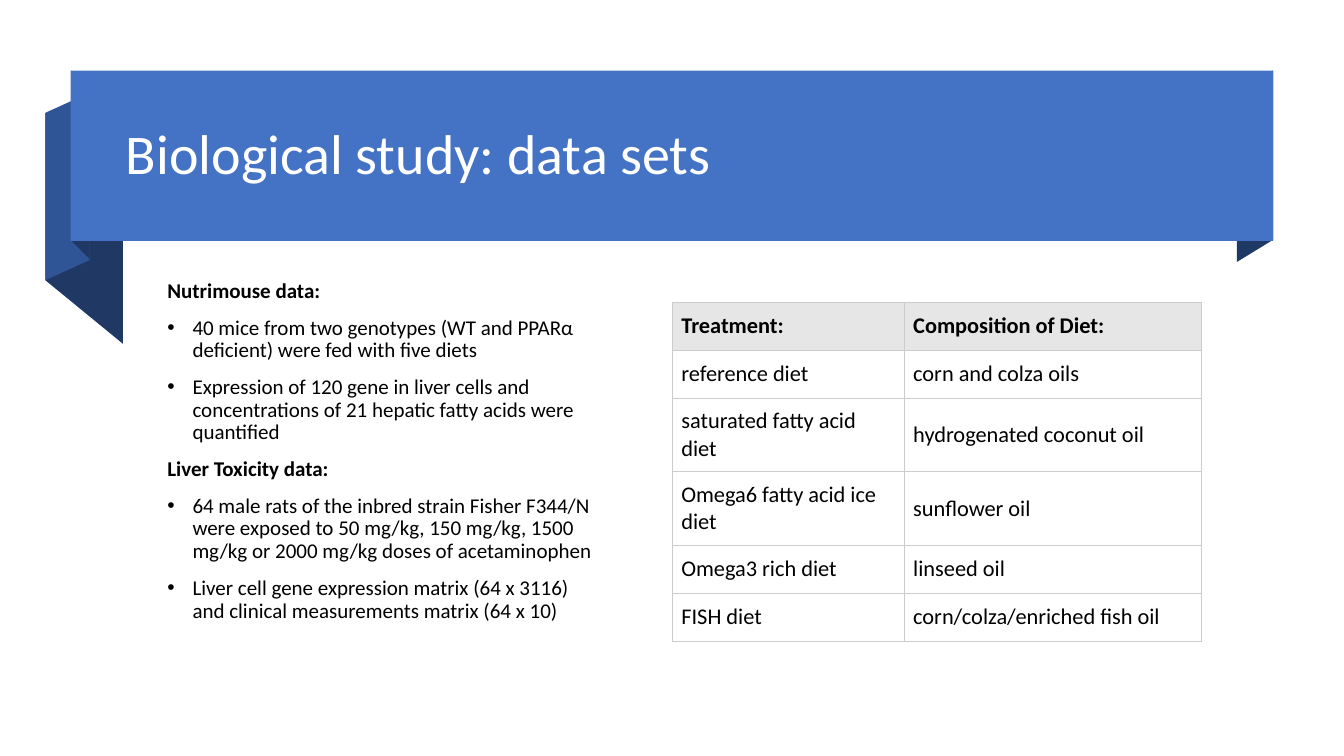
from lxml import etree
from pptx import Presentation
from pptx.dml.color import RGBColor
from pptx.enum.shapes import MSO_SHAPE
from pptx.enum.text import MSO_ANCHOR, MSO_AUTO_SIZE, PP_ALIGN
from pptx.oxml.ns import qn
from pptx.util import Inches, Pt

GRID = Inches(0.01)  # one column or row of the page grid
PAGE_COLUMNS, PAGE_ROWS = 1333.33, 750
FONT = "Calibri"

WHITE = RGBColor(0xFF, 0xFF, 0xFF)
BLACK = RGBColor(0x00, 0x00, 0x00)
BLUE = RGBColor(0x44, 0x72, 0xC4)
MID_BLUE = RGBColor(0x2F, 0x55, 0x97)
NAVY = RGBColor(0x20, 0x38, 0x64)
HEADER_GREY = RGBColor(0xE7, 0xE6, 0xE6)
BORDER_GREY = RGBColor(0xCC, 0xCC, 0xCC)

RECTANGLE = MSO_SHAPE.RECTANGLE
TOP, MIDDLE = MSO_ANCHOR.TOP, MSO_ANCHOR.MIDDLE
LEFT = PP_ALIGN.LEFT
NO_AUTOFIT = MSO_AUTO_SIZE.NONE

# Left edge, its top and bottom, then right edge, its top and bottom
FOLDS = [
    (1227, 91, 260, 1263, 70, 238, NAVY),
    (45, 112, 278, 122, 175, 341, NAVY),
    (45, 112, 278, 89, 92, 258, MID_BLUE),
    (71, 70, 239, 89, 89, 257, NAVY),
]
BANNER = (70, 70, 1193, 169)

STUDIES = {
    "Nutrimouse data:": [
        "40 mice from two genotypes (WT and PPARα deficient) were fed with five diets",
        "Expression of 120 gene in liver cells and concentrations of 21 hepatic "
        "fatty acids were quantified",
    ],
    "Liver Toxicity data:": [
        "64 male rats of the inbred strain Fisher F344/N were exposed to 50 mg/kg, "
        "150 mg/kg, 1500 mg/kg or 2000 mg/kg doses of acetaminophen",
        "Liver cell gene expression matrix (64 x 3116) and clinical measurements "
        "matrix (64 x 10)",
    ],
}

DIETS = [
    ("Treatment:", "Composition of Diet:"),
    ("reference diet", "corn and colza oils"),
    ("saturated fatty acid diet", "hydrogenated coconut oil"),
    ("Omega6 fatty acid ice diet", "sunflower oil"),
    ("Omega3 rich diet", "linseed oil"),
    ("FISH diet", "corn/colza/enriched fish oil"),
]
DIET_COLUMNS = (230, 295)
DIET_ROWS = (47.5, 47.5, 73, 73, 47.5, 47.5)


def on_grid(*cells):
    return [int(cell * GRID) for cell in cells]


def paint(shape, color):
    shape.fill.solid()
    shape.fill.fore_color.rgb = color
    shape.line.fill.background()
    shape.shadow.inherit = False


def add_fold(ribbon, left, left_top, left_bottom, right, right_top, right_bottom, color):
    builder = ribbon.shapes.build_freeform(right, right_bottom, scale=GRID)
    builder.add_line_segments(
        [(left, left_bottom), (left, left_top), (right, right_top)], close=True)
    paint(builder.convert_to_shape(), color)


def add_ribbon(page):
    """Draw the folded banner and send it behind the placeholders."""
    ribbon = page.shapes.add_group_shape()
    for fold in FOLDS:
        add_fold(ribbon, *fold)
    paint(ribbon.shapes.add_shape(RECTANGLE, *on_grid(*BANNER)), BLUE)
    page.shapes._spTree.insert(2, ribbon._element)


def write(para, text, size, color=BLACK, bold=False):
    span = para.add_run()
    span.text = text
    span.font.name = FONT
    span.font.size = Pt(size)
    span.font.bold = bold
    span.font.color.rgb = color
    para.alignment = LEFT


def place(placeholder, box, anchor):
    placeholder.left, placeholder.top, placeholder.width, placeholder.height = on_grid(*box)
    frame = placeholder.text_frame
    frame.word_wrap = True
    frame.auto_size = NO_AUTOFIT
    frame.vertical_anchor = anchor
    return frame


def set_bullet(para, bulleted):
    properties = para._p.get_or_add_pPr()
    indent = Inches(0.25) if bulleted else 0
    properties.set("marL", str(indent))
    properties.set("indent", str(-indent))
    if bulleted:
        etree.SubElement(properties, qn("a:buFont")).set("typeface", "Arial")
        etree.SubElement(properties, qn("a:buChar")).set("char", "•")
    else:
        etree.SubElement(properties, qn("a:buNone"))


def fill_title(page):
    frame = place(page.shapes.title, (115, 83, 1127, 145), MIDDLE)
    para = frame.paragraphs[0]
    para.line_spacing = 0.9
    write(para, "Biological study: data sets", 40, color=WHITE)


def fill_studies(page):
    frame = place(page.placeholders[1], (156, 273, 443, 390), TOP)
    lines = [(text, text == heading)
             for heading, points in STUDIES.items() for text in (heading, *points)]
    for index, (text, is_heading) in enumerate(lines):
        para = frame.add_paragraph() if index else frame.paragraphs[0]
        para.line_spacing = 0.9
        para.space_before = Pt(10)
        set_bullet(para, not is_heading)
        write(para, text, 15, bold=is_heading)


def set_borders(cell):
    properties = cell._tc.get_or_add_tcPr()
    for side in ("a:lnL", "a:lnR", "a:lnT", "a:lnB"):
        line = etree.SubElement(properties, qn(side), w=str(Pt(0.75)))
        fill = etree.SubElement(line, qn("a:solidFill"))
        etree.SubElement(fill, qn("a:srgbClr"), val=str(BORDER_GREY))


def fill_cell(cell, text, is_header):
    set_borders(cell)
    if is_header:
        cell.fill.solid()
        cell.fill.fore_color.rgb = HEADER_GREY
    else:
        cell.fill.background()
    margin = Inches(0.09)
    cell.margin_left = cell.margin_right = cell.margin_top = cell.margin_bottom = margin
    cell.vertical_anchor = MIDDLE
    write(cell.text_frame.paragraphs[0], text, 16, bold=is_header)


def add_diet_table(page):
    box = on_grid(667, 300, sum(DIET_COLUMNS), sum(DIET_ROWS))
    table = page.shapes.add_table(len(DIET_ROWS), len(DIET_COLUMNS), *box).table
    table.first_row = table.horz_banding = False
    for column, width in zip(table.columns, on_grid(*DIET_COLUMNS)):
        column.width = width
    for row, height in zip(table.rows, on_grid(*DIET_ROWS)):
        row.height = height
    for row_index, diet in enumerate(DIETS):
        for column_index, text in enumerate(diet):
            fill_cell(table.cell(row_index, column_index), text, row_index == 0)


def main():
    deck = Presentation()
    deck.slide_width, deck.slide_height = on_grid(PAGE_COLUMNS, PAGE_ROWS)
    page = deck.slides.add_slide(deck.slide_layouts[1])
    add_ribbon(page)
    fill_title(page)
    fill_studies(page)
    add_diet_table(page)
    deck.save("out.pptx")


if __name__ == "__main__":
    main()
